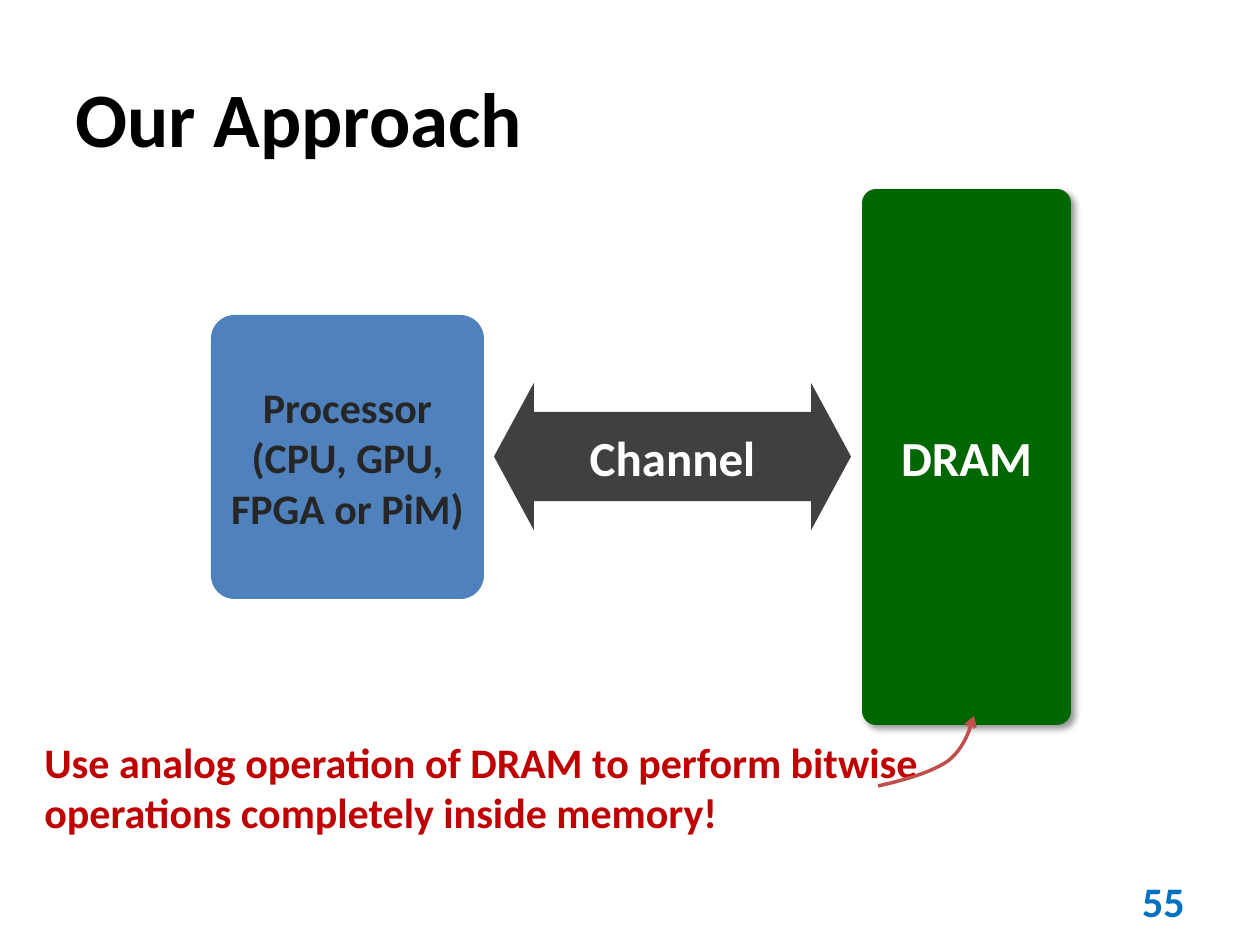
"""Build the slide on processing inside DRAM."""
from lxml import etree
from pptx import Presentation
from pptx.dml.color import RGBColor
from pptx.enum.shapes import MSO_SHAPE
from pptx.enum.text import MSO_ANCHOR, PP_ALIGN
from pptx.oxml import parse_xml
from pptx.oxml.ns import nsdecls, qn
from pptx.util import Pt

ROUND = MSO_SHAPE.ROUNDED_RECTANGLE
ARROW = MSO_SHAPE.LEFT_RIGHT_ARROW
MID, TOP = MSO_ANCHOR.MIDDLE, MSO_ANCHOR.TOP
LEFT, MIDST, RIGHT = PP_ALIGN.LEFT, PP_ALIGN.CENTER, PP_ALIGN.RIGHT
PX = 914400 / 126


def color(code):
    return RGBColor.from_string(code)


def write(shape, lines, size, tint, align, anchor=MID):
    frame = shape.text_frame
    frame.word_wrap = True
    frame.vertical_anchor = anchor
    for i, line in enumerate(lines):
        para = frame.add_paragraph() if i else frame.paragraphs[0]
        para.alignment = align
        run = para.add_run()
        run.text = line
        run.font.name = "Calibri"
        run.font.size = Pt(size)
        run.font.bold = True
        run.font.color.rgb = color(tint)


deck = Presentation()
deck.slide_width = round(1260 * PX)
deck.slide_height = round(945 * PX)
slide = deck.slides.add_slide(deck.slide_layouts[5])
shapes = slide.shapes

title = shapes.title
title.left, title.top, title.width, title.height = [
    round(v * PX) for v in (63, 38, 1134, 158)]
write(title, ["Our Approach"], 44, "000000", LEFT)

blocks = [
    (ROUND, (211, 315, 273, 284), [0.087], "4F81BD",
     ["Processor", "(CPU, GPU, FPGA or PiM)"], 24, "262626"),
    (ROUND, (862, 189, 209, 536), [0.067], "006600", ["DRAM"], 28, "FFFFFF"),
    (ARROW, (494, 383, 357, 147), [0.608, 0.271], "404040",
     ["Channel"], 28, "FFFFFF"),
]
made = []
for kind, box, adjust, fill, lines, size, tint in blocks:
    block = shapes.add_shape(kind, *[round(v * PX) for v in box])
    for i, value in enumerate(adjust):
        block.adjustments[i] = value
    block.shadow.inherit = False
    block.fill.solid()
    block.fill.fore_color.rgb = color(fill)
    block.line.fill.background()
    block.text_frame.margin_left = block.text_frame.margin_right = round(8 * PX)
    write(block, lines, size, tint, MIDST)
    made.append(block)

dram = made[1]
glow = dram._element.spPr.find(qn("a:effectLst"))
glow.append(parse_xml(
    f'<a:outerShdw {nsdecls("a")} blurRad="50800" dist="38100" dir="2700000" '
    'algn="tl" rotWithShape="0"><a:srgbClr val="000000">'
    '<a:alpha val="40000"/></a:srgbClr></a:outerShdw>'))

notes = [
    ((32, 730, 935, 165),
     ["Use analog operation of DRAM to perform bitwise operations "
      "completely inside memory!"], "C00000", LEFT, TOP),
    ((903, 876, 294, 50), ["55"], "0070C0", RIGHT, MID),
]
for box, lines, tint, align, anchor in notes:
    note = shapes.add_textbox(*[round(v * PX) for v in box])
    write(note, lines, 24, tint, align, anchor)

bends = [
    [(878, 786), (905, 780), (932, 772), (948, 761)],
    [(948, 761), (964, 748), (969, 732), (974, 716)],
]
points = []
for bend in bends:
    for step in range(1, 13):
        t = step / 12
        mix = ((1 - t) ** 3, 3 * t * (1 - t) ** 2, 3 * t * t * (1 - t), t ** 3)
        points.append([round(sum(m * p[k] for m, p in zip(mix, bend)) * PX)
                       for k in (0, 1)])
start = [round(v * PX) for v in bends[0][0]]
path = shapes.build_freeform(*start)
path.add_line_segments(points, close=False)
curve = path.convert_to_shape()
curve.shadow.inherit = False
curve.fill.background()
curve.line.color.rgb = color("C0504D")
curve.line.width = Pt(2)
etree.SubElement(curve.line._get_or_add_ln(), qn("a:tailEnd"), type="arrow")

deck.save("out.pptx")
